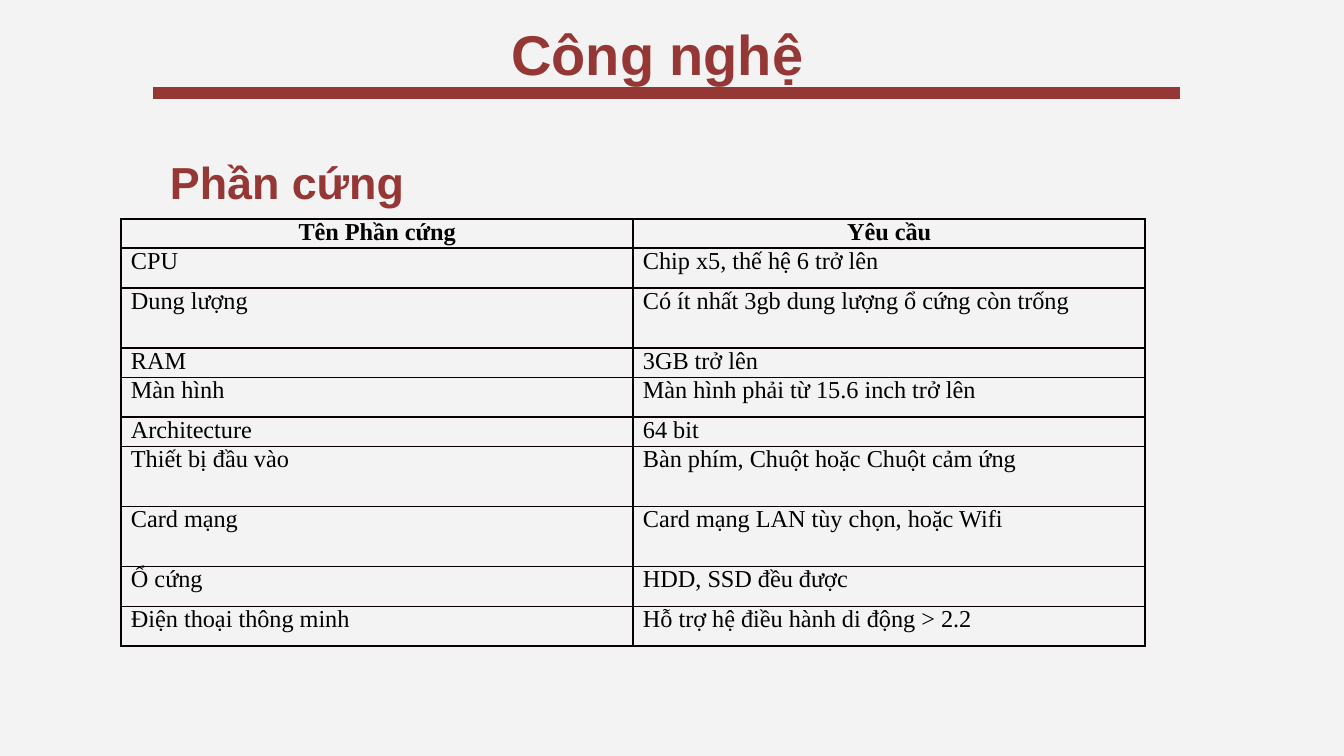
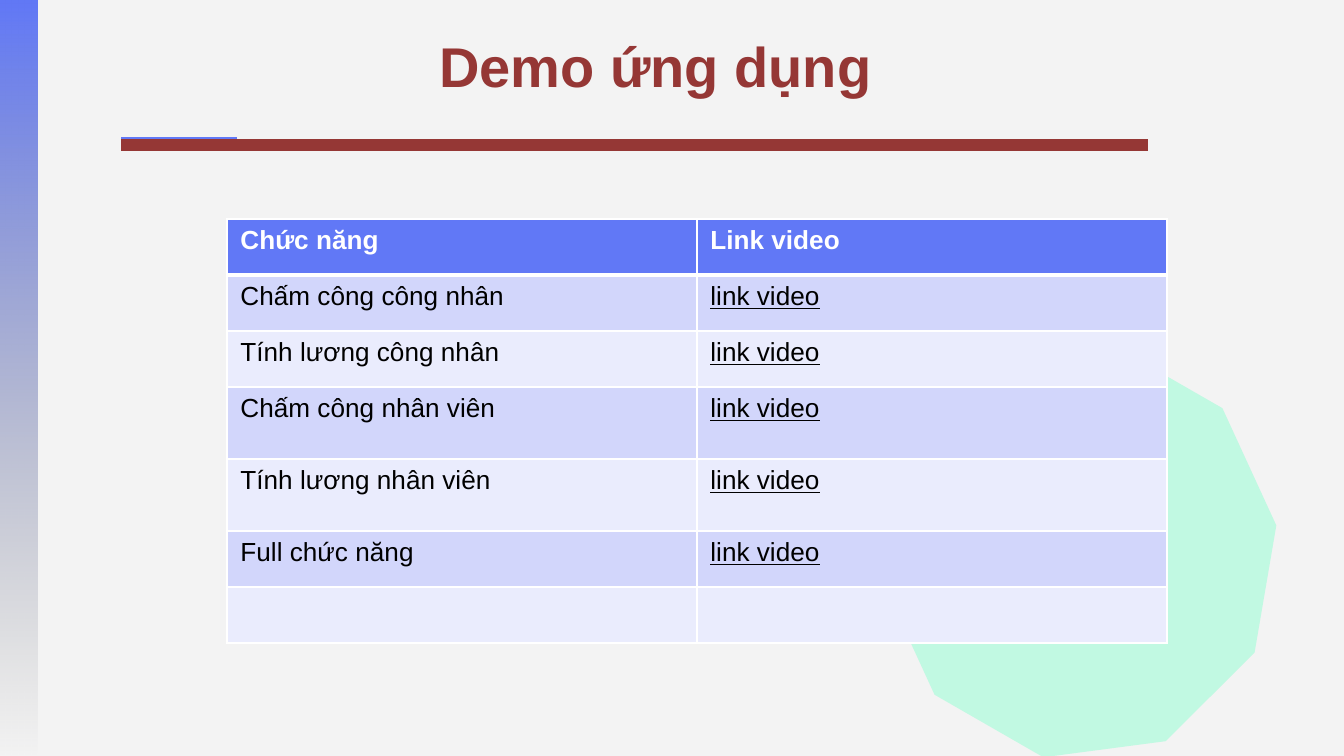
from lxml.etree import SubElement
from pptx import Presentation
from pptx.dml.color import RGBColor
from pptx.enum.shapes import MSO_CONNECTOR, MSO_SHAPE
from pptx.enum.text import MSO_ANCHOR, PP_ALIGN
from pptx.oxml.ns import qn
from pptx.util import Emu, Pt

SCALE = 914400 / 134.4
WIDTH, HEIGHT = 1344, 756
COLORS = {
    "paper": "F3F3F3",
    "maroon": "953735",
    "blue": "6178F6",
    "gray": "737373",
    "mint": "95FFD4",
    "band": "D2D6FB",
    "pale": "EAECFD",
    "ink": "000000",
    "grid": "080000",
    "white": "FFFFFF",
}
HARDWARE = [
    ("Tên Phần cứng", "Yêu cầu", 26),
    ("CPU", "Chip x5, thế hệ 6 trở lên", 40),
    ("Dung lượng", "Có ít nhất 3gb dung lượng ổ cứng còn trống", 60),
    ("RAM", "3GB trở lên", 29),
    ("Màn hình", "Màn hình phải từ 15.6 inch trở lên", 40),
    ("Architecture", "64 bit", 29),
    ("Thiết bị đầu vào", "Bàn phím, Chuột hoặc Chuột cảm ứng", 60),
    ("Card mạng", "Card mạng LAN tùy chọn, hoặc Wifi", 60),
    ("Ổ cứng", "HDD, SSD đều được", 40),
    ("Điện thoại thông minh", "Hỗ trợ hệ điều hành di động > 2.2", 40),
]
DEMOS = [
    ("Chức năng", "Link video", 56),
    ("Chấm công công nhân", "link video", 56),
    ("Tính lương công nhân", "link video", 56),
    ("Chấm công nhân viên", "link video", 72),
    ("Tính lương nhân viên", "link video", 72),
    ("Full chức năng", "link video", 56),
    ("", "", 56),
]


def px(length):
    return Emu(round(length * SCALE))


def rgb(name):
    return RGBColor.from_string(COLORS[name])


def set_font(font, face, size, color, bold):
    font.name = face
    font.size = Pt(size)
    font.bold = bold
    font.color.rgb = rgb(color)


def add_slide(deck):
    slide = deck.slides.add_slide(deck.slide_layouts[6])
    slide.background.fill.solid()
    slide.background.fill.fore_color.rgb = rgb("paper")
    return slide


def add_heading(slide, text, left, top, width, height, size=30, spacing=1.0):
    heading = slide.shapes.add_textbox(px(left), px(top), px(width), px(height))
    frame = heading.text_frame
    frame.word_wrap = True
    frame.vertical_anchor = MSO_ANCHOR.TOP
    frame.margin_left = frame.margin_right = px(13)
    frame.margin_top = frame.margin_bottom = px(13)
    paragraph = frame.paragraphs[0]
    paragraph.text = text
    paragraph.alignment = PP_ALIGN.CENTER
    paragraph.line_spacing = spacing
    set_font(paragraph.font, "Arial", size, "maroon", True)


def add_rule(slide, right, left, y, color="maroon", weight=6):
    rule = slide.shapes.add_connector(
        MSO_CONNECTOR.STRAIGHT, px(right), px(y), px(left), px(y)
    )
    rule.line.color.rgb = rgb(color)
    rule.line.width = Pt(weight)
    SubElement(rule._element.spPr, qn("a:effectLst"))


def add_decoration(slide, preset, left, top, width, height):
    decoration = slide.shapes.add_shape(
        preset, px(left), px(top), px(width), px(height)
    )
    decoration.shadow.inherit = False
    decoration.line.fill.background()
    return decoration


def set_alpha(shape, color, percent):
    for node in shape._element.spPr.iter(qn("a:srgbClr")):
        if node.get("val") == COLORS[color]:
            SubElement(node, qn("a:alpha"), val=str(percent * 1000))


def add_side_band(slide):
    side_band = add_decoration(slide, MSO_SHAPE.RECTANGLE, 0, 0, 38, HEIGHT)
    side_band.fill.gradient()
    side_band.fill.gradient_angle = 270
    for stop, color in zip(side_band.fill.gradient_stops, ("blue", "gray")):
        stop.color.rgb = rgb(color)
    set_alpha(side_band, "gray", 0)


def add_decagon(slide):
    decagon = add_decoration(slide, MSO_SHAPE.DECAGON, 879, 352, 399, 399)
    decagon.rotation = 352.5
    decagon.fill.solid()
    decagon.fill.fore_color.rgb = rgb("mint")
    set_alpha(decagon, "mint", 53)


def set_borders(cell, color, top=1, bottom=1):
    properties = cell._tc.get_or_add_tcPr()
    for side, weight in (("L", 1), ("R", 1), ("T", top), ("B", bottom)):
        border = SubElement(properties, qn(f"a:ln{side}"), w=str(Pt(weight)))
        fill = SubElement(border, qn("a:solidFill"))
        SubElement(fill, qn("a:srgbClr"), val=COLORS[color])


def add_table(slide, rows, left, top, column_width):
    height = sum(row[-1] for row in rows)
    table = slide.shapes.add_table(
        len(rows), 2, px(left), px(top), px(2 * column_width), px(height)
    ).table
    table.horz_banding = False
    for column in table.columns:
        column.width = px(column_width)
    for row, (*texts, row_height) in zip(table.rows, rows):
        row.height = px(row_height)
        for cell, text in zip(row.cells, texts):
            cell.text = text
    return table


def style_hardware(table):
    for index, row in enumerate(table.rows):
        for cell in row.cells:
            set_borders(cell, "grid")
            cell.fill.background()
            cell.margin_left = cell.margin_right = px(10)
            cell.margin_top = cell.margin_bottom = 0
            paragraph = cell.text_frame.paragraphs[0]
            set_font(paragraph.font, "Times New Roman", 13, "ink", index == 0)
            if index == 0:
                paragraph.alignment = PP_ALIGN.CENTER


def style_demos(table):
    for index, row in enumerate(table.rows):
        header = index == 0
        band = "blue" if header else ("pale", "band")[index % 2]
        for column, cell in enumerate(row.cells):
            set_borders(
                cell, "white", top=3 if index == 1 else 1, bottom=3 if header else 1
            )
            cell.fill.solid()
            cell.fill.fore_color.rgb = rgb(band)
            font = cell.text_frame.paragraphs[0].font
            set_font(font, "Arial", 14, "white" if header else "ink", header)
            if column == 1 and not header:
                font.underline = True


def build_technology(deck):
    slide = add_slide(deck)
    add_heading(slide, "Công nghệ", 144, 19, 1027, 128, spacing=0.8)
    add_rule(slide, 1180, 153, 93)
    add_heading(slide, "Phần cứng", 121, 152, 332, 60, size=24, spacing=0.8)
    style_hardware(add_table(slide, HARDWARE, 121, 219, 512))


def build_demo(deck):
    slide = add_slide(deck)
    add_side_band(slide)
    add_decagon(slide)
    add_rule(slide, 237, 121, 140, color="blue", weight=3)
    add_heading(slide, "Demo ứng dụng", 142, 19, 1027, 128)
    add_rule(slide, 1148, 121, 145)
    style_demos(add_table(slide, DEMOS, 227, 219, 470))


def main():
    deck = Presentation()
    deck.slide_width, deck.slide_height = px(WIDTH), px(HEIGHT)
    build_technology(deck)
    build_demo(deck)
    deck.save("out.pptx")


if __name__ == "__main__":
    main()
